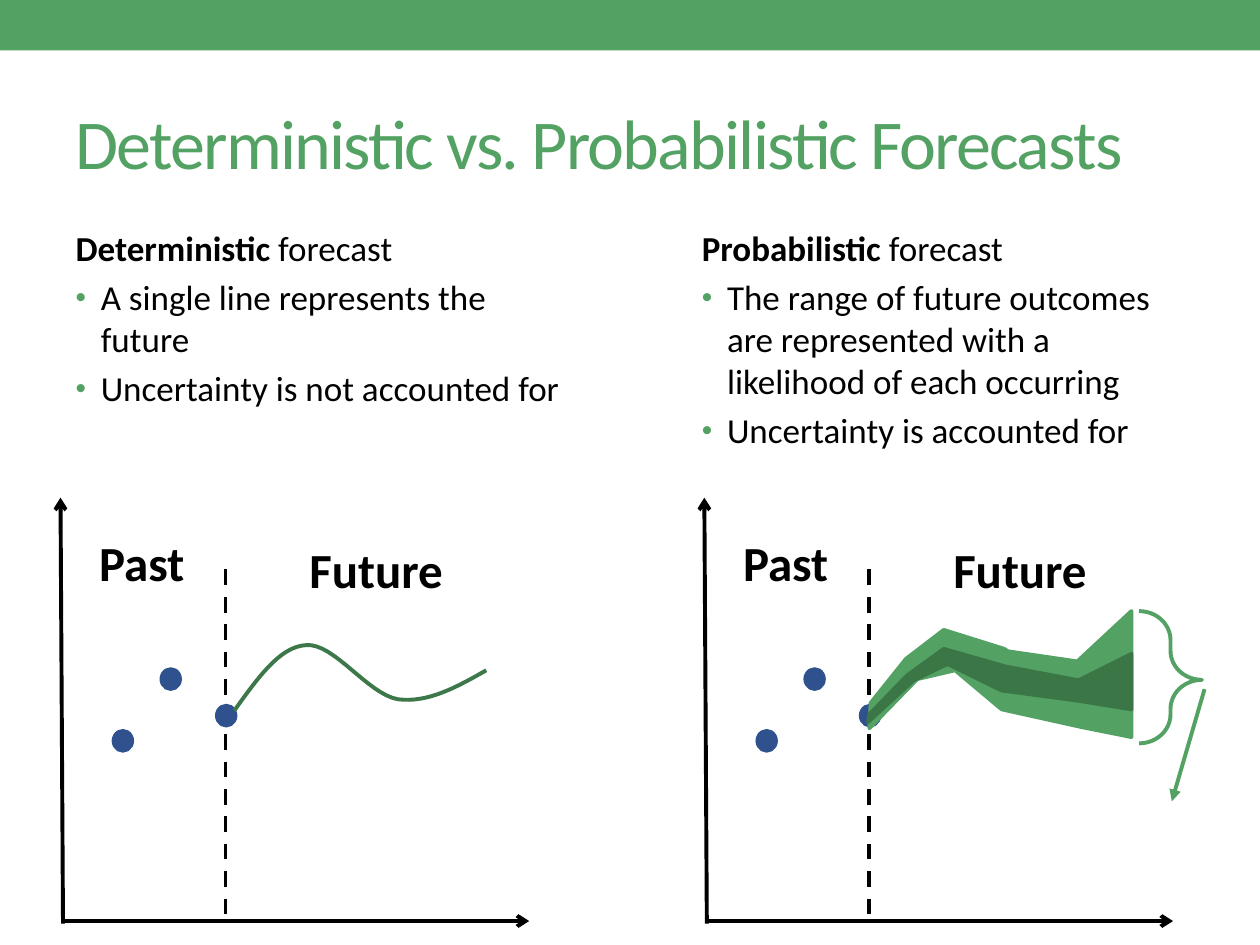
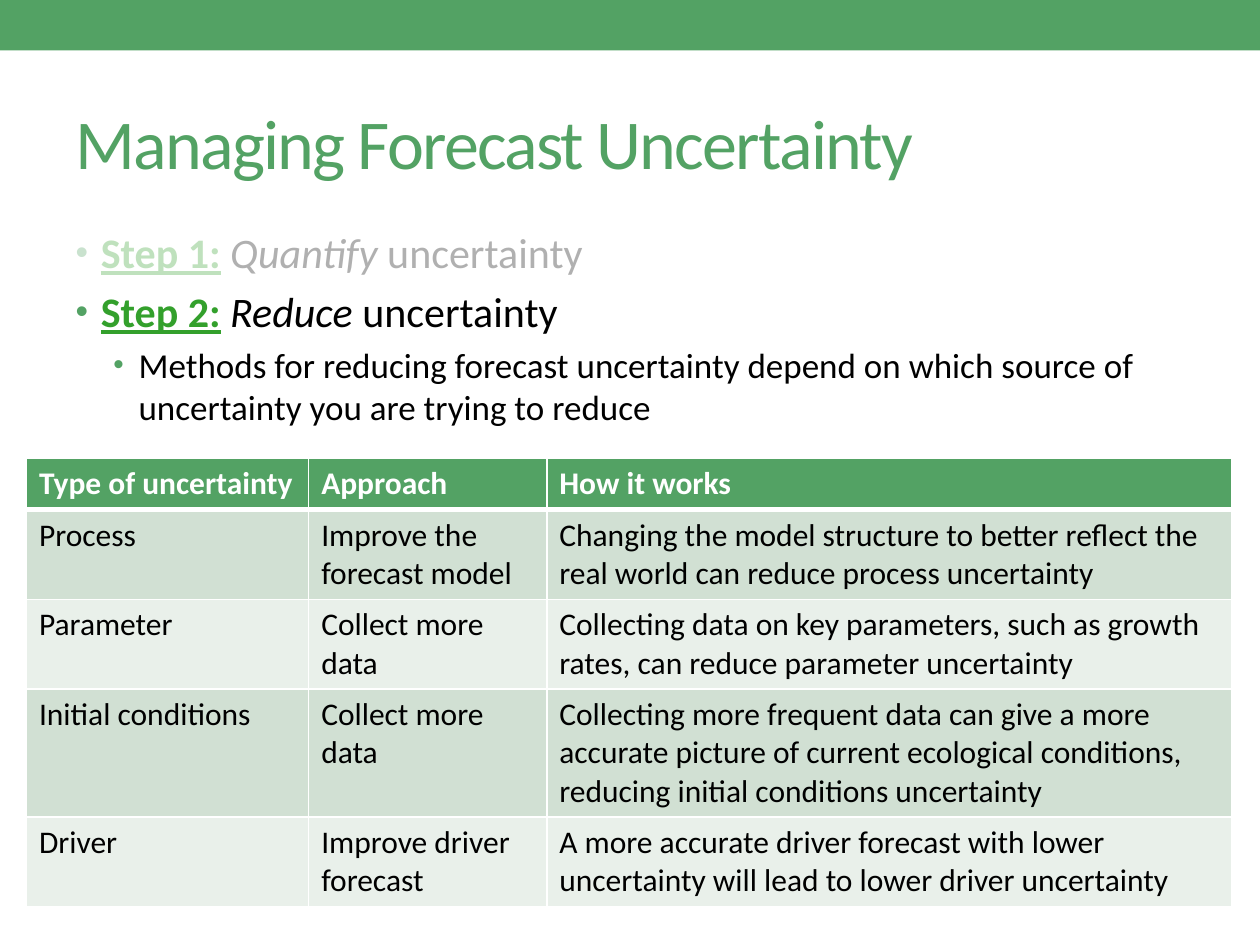
"""Build two slides on forecast types and forecast uncertainty."""
import lxml.etree
import pptx
import pptx.dml.color
import pptx.enum.dml
import pptx.enum.shapes
import pptx.enum.text
import pptx.oxml.ns
import pptx.util

GREEN, DARK, BLUE = "53A264", "3B7647", "2F528F"
STEP, BLACK, WHITE = "33A02C", "000000", "FFFFFF"
FONT = "Calibri"
Pt, qn, sub = pptx.util.Pt, pptx.oxml.ns.qn, lxml.etree.SubElement
KIND = pptx.enum.shapes.MSO_SHAPE
TEXT = pptx.enum.text

deck = pptx.Presentation()
deck.slide_width, deck.slide_height = pptx.util.Inches(10), pptx.util.Inches(7.5)
cell = deck.slide_width / 100


def rgb(code):
    """Turn a hex string into a colour."""
    return pptx.dml.color.RGBColor.from_string(code)


def grid(*nums):
    """Turn counts of square cells, 100 across and 75 down, into lengths."""
    return [pptx.util.Emu(round(num * cell)) for num in nums]


slides = []
for name, layout in [("Deterministic vs. Probabilistic Forecasts", 3),
                     ("Managing Forecast Uncertainty", 1)]:
    slide = deck.slides.add_slide(deck.slide_layouts[layout])
    slides.append(slide)
    band = slide.shapes.add_shape(KIND.RECTANGLE, *grid(0, 0, 100, 4))
    band.shadow.inherit = False
    band.fill.solid()
    band.fill.fore_color.rgb = rgb(GREEN)
    band.line.fill.background()
    title = slide.shapes.title
    title.left, title.top, title.width, title.height = grid(5, 5.8, 90, 10.8)
    frame = title.text_frame
    frame.text = name
    frame.auto_size = TEXT.MSO_AUTO_SIZE.NONE
    frame.vertical_anchor = TEXT.MSO_ANCHOR.MIDDLE
    frame.paragraphs[0].alignment = TEXT.PP_ALIGN.LEFT
    run = frame.paragraphs[0].runs[0]
    run.font.name, run.font.size = FONT, Pt(40)
    run.font.color.rgb = rgb(GREEN)
    run.font._element.set("spc", "-100")
first, second = slides

# each list: holder, left, width, then items of (indent, size, runs)
lists = [
    (first.placeholders[1], 5, 41.7, [
        (0, 20, [("Deterministic", "b"), (" forecast", "")]),
        (2, 20, [("A single line represents the future", "")]),
        (2, 20, [("Uncertainty is not accounted for", "")])]),
    (first.placeholders[2], 54.7, 40.3, [
        (0, 20, [("Probabilistic", "b"), (" forecast", "")]),
        (2, 20, [("The range of future outcomes are represented with a "
                  "likelihood of each occurring", "")]),
        (2, 20, [("Uncertainty is accounted for", "")])]),
    (second.placeholders[1], 5, 90, [
        (2, 24, [("Step 1:", "bu"), (" ", ""), ("Quantify", "i"), (" uncertainty", "")]),
        (2, 24, [("Step 2:", "bu"), (" ", ""), ("Reduce", "i"), (" uncertainty", "")]),
        (5, 20, [("Methods for reducing forecast uncertainty depend on which "
                  "source of uncertainty you are trying to reduce", "")])]),
]
for holder, left, width, items in lists:
    holder.left, holder.top, holder.width, holder.height = grid(left, 17.5, width, 53.3)
    frame = holder.text_frame
    frame.auto_size = TEXT.MSO_AUTO_SIZE.NONE
    for num, (indent, size, runs) in enumerate(items):
        para = frame.add_paragraph() if num else frame.paragraphs[0]
        para.level = int(indent > 2)
        para.space_before = Pt(0.2 * size if num else 0)
        props = para._p.get_or_add_pPr()
        margin, hang = grid(indent, -2 if indent else 0)
        props.set("marL", str(margin))
        props.set("indent", str(hang))
        if indent:
            sub(sub(props, qn("a:buClr")), qn("a:srgbClr"), val=GREEN)
            sub(props, qn("a:buSzPct"), val="85000")
            sub(props, qn("a:buFont"), typeface="Arial")
            sub(props, qn("a:buChar"), char="•")
        else:
            sub(props, qn("a:buNone"))
        for words, style in runs:
            run = para.add_run()
            run.text = words
            font = run.font
            font.name, font.size = FONT, Pt(size)
            font.bold, font.italic, font.underline = "b" in style, "i" in style, "u" in style
            font.color.rgb = rgb(STEP if "u" in style else BLACK)

shapes = first.shapes
shift = 51.1
lines = [(95.6, 54.7, 93, 63.6, GREEN, "triangle")]
for left in (0, shift):
    lines += [(left + 5, 73.3, left + 4.8, 39.5, BLACK, "arrow"),
              (left + 4.9, 73.1, left + 42, 73.1, BLACK, "arrow"),
              (left + 17.9, 45.2, left + 17.9, 73.3, BLACK, None)]
for x, y, end, foot, color, tip in lines:
    line = shapes.add_connector(pptx.enum.shapes.MSO_CONNECTOR.STRAIGHT, *grid(x, y, end, foot))
    line.line.color.rgb = rgb(color)
    line.line.width = Pt(2.25)
    if tip:
        sub(line.line._get_or_add_ln(), qn("a:tailEnd"), type=tip)
    else:
        line.line.dash_style = pptx.enum.dml.MSO_LINE.DASH
    sub(line._element.spPr, qn("a:effectLst"))

for left in (0, shift):
    for label, x, y in [("Past", 0, 41.8), ("Future", 18.6, 42.3)]:
        box = shapes.add_textbox(*grid(left + x, y, 22.5, 5.7))
        frame = box.text_frame
        frame.word_wrap = True
        frame.auto_size = TEXT.MSO_AUTO_SIZE.SHAPE_TO_FIT_TEXT
        frame.text = label
        para = frame.paragraphs[0]
        para.alignment = TEXT.PP_ALIGN.CENTER
        font = para.runs[0].font
        font.name, font.size, font.bold = FONT, Pt(28), True
        font.color.rgb = rgb(BLACK)
    for x, y in [(9, 58), (12.8, 53.1), (17.2, 56)]:
        dot = shapes.add_shape(KIND.OVAL, *grid(left + x, y, 1.5, 1.6))
        dot.shadow.inherit = False
        dot.fill.solid()
        dot.fill.fore_color.rgb = dot.line.color.rgb = rgb(BLUE)
        dot.line.width = Pt(2)

knots = [(18.6, 56.4), (20.4, 53.9), (22.2, 51.3), (24.3, 51.2), (26.5, 51),
         (29.2, 55.1), (31.6, 55.5), (34, 55.8), (36.3, 54.5), (38.6, 53.2)]
steps = 16
curve = [knots[0]]
for k in range(0, len(knots) - 1, 3):
    for s in range(1, steps + 1):
        t = s / steps
        parts = ((1 - t) ** 3, 3 * t * (1 - t) ** 2, 3 * t * t * (1 - t), t ** 3)
        curve.append(tuple(sum(part * knot[axis] for part, knot in zip(parts, knots[k:k + 4]))
                           for axis in (0, 1)))
outer = [(69.1, 55.8), (71.9, 52.3), (74.9, 50), (79.7, 51.5), (80, 51.7), (85.5, 52.5),
         (89.8, 48.5), (89.8, 58.5), (85.8, 57.7), (79.5, 56.3), (75.8, 53.2),
         (72.8, 53.9), (69, 57.8)]
inner = [(69, 56.7), (72, 53.6), (74.9, 51.5), (79.8, 52.9), (85.6, 54), (89.8, 51.9),
         (89.8, 56.3), (85.5, 55.6), (79.5, 54.8), (75.2, 52.7), (72.5, 54), (68.9, 57.3)]
for spots, color, closed in [(curve, "3D784A", False), (outer, GREEN, True), (inner, DARK, True)]:
    spots = [grid(*spot) for spot in spots]
    pen = shapes.build_freeform(*spots[0])
    pen.add_line_segments(spots[1:], close=closed)
    form = pen.convert_to_shape()
    form.shadow.inherit = False
    form.line.color.rgb = rgb(color)
    form.line.width = Pt(2.25)
    if closed:
        form.fill.solid()
        form.fill.fore_color.rgb = rgb(color)
    else:
        form.fill.background()

brace = shapes.add_shape(KIND.RIGHT_BRACE, *grid(90.4, 48.5, 5, 10.5))
brace.shadow.inherit = False
brace.adjustments[0], brace.adjustments[1] = 0.46, 0.52
brace.fill.background()
brace.line.color.rgb = rgb(GREEN)
brace.line.width = Pt(2.25)

veil = second.shapes.add_shape(KIND.RECTANGLE, *grid(5, 14.6, 46.6, 8.7))
veil.shadow.inherit = False
veil.line.fill.background()
veil.fill.solid()
veil.fill.fore_color.rgb = rgb(WHITE)
tint = veil._element.spPr.find(qn("a:solidFill")).find(qn("a:srgbClr"))
sub(tint, qn("a:alpha"), val="69000")

rows = [
    ("Type of uncertainty", "Approach", "How it works"),
    ("Process", "Improve the forecast model",
     "Changing the model structure to better reflect the real world can reduce "
     "process uncertainty"),
    ("Parameter", "Collect more data",
     "Collecting data on key parameters, such as growth rates, can reduce "
     "parameter uncertainty"),
    ("Initial conditions", "Collect more data",
     "Collecting more frequent data can give a more accurate picture of current "
     "ecological conditions, reducing initial conditions uncertainty"),
    ("Driver", "Improve driver forecast",
     "A more accurate driver forecast with lower uncertainty will lead to lower "
     "driver uncertainty"),
]
widths, heights = (22.4, 18.9, 54.4), (4, 7, 7, 10, 7)
table = second.shapes.add_table(len(rows), len(widths),
                                *grid(2.1, 36.4, sum(widths), sum(heights))).table
for col, width in zip(table.columns, grid(*widths)):
    col.width = width
for r, (row, height) in enumerate(zip(rows, grid(*heights))):
    table.rows[r].height = height
    for c, words in enumerate(row):
        box = table.cell(r, c)
        props = box._tc.get_or_add_tcPr()
        for side in "LRTB":
            thick = (r, side) in [(0, "B"), (1, "T")]
            edge = sub(props, qn("a:ln" + side), w=str(Pt(3 if thick else 1)))
            sub(sub(edge, qn("a:solidFill")), qn("a:srgbClr"), val=WHITE)
        box.fill.solid()
        box.fill.fore_color.rgb = rgb(GREEN if r == 0 else "D1E0D3" if r % 2 else "E9F0EA")
        box.text_frame.text = words
        font = box.text_frame.paragraphs[0].runs[0].font
        font.name, font.size, font.bold = FONT, Pt(18), r == 0
        font.color.rgb = rgb(BLACK if r else WHITE)

deck.save("out.pptx")
